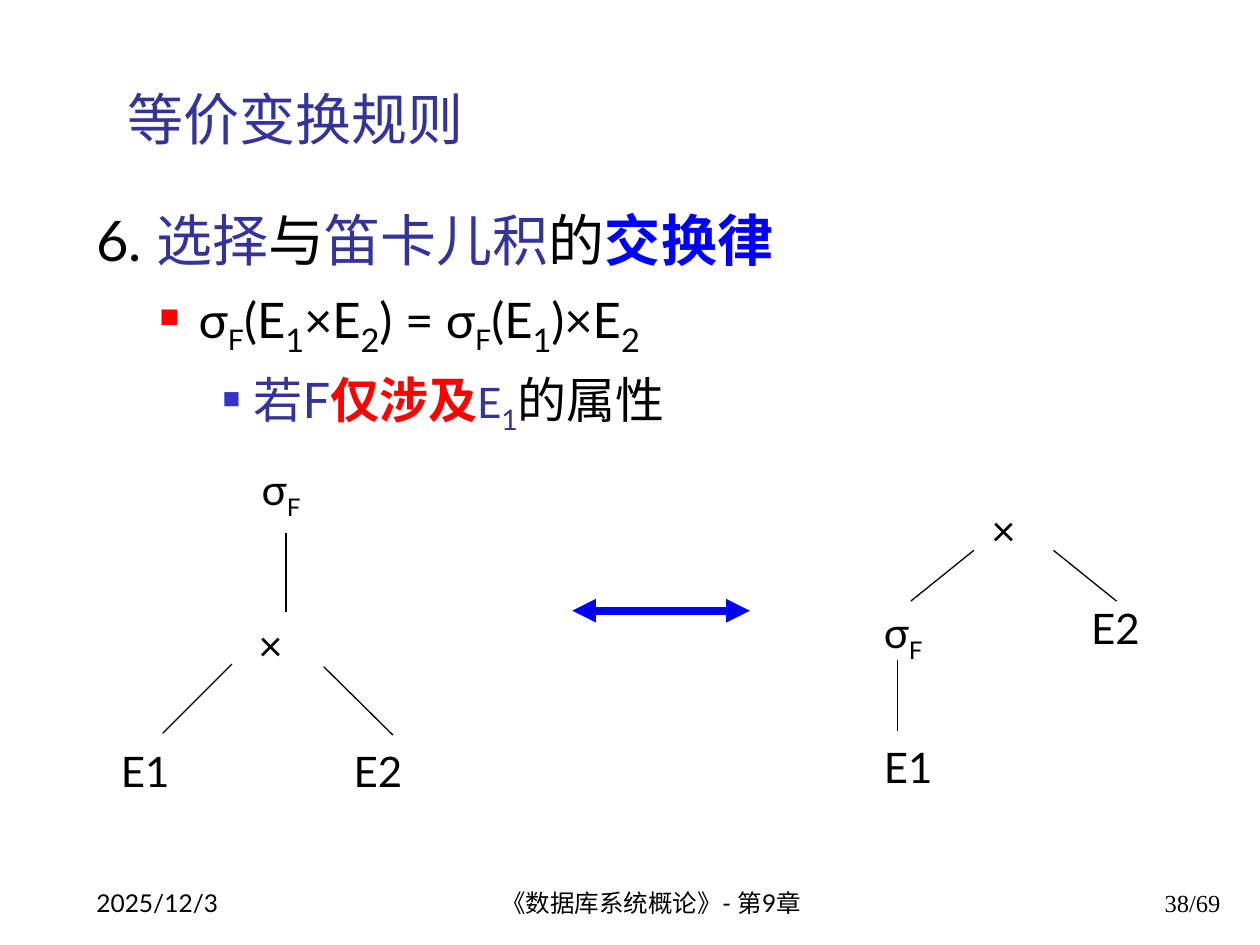
from dataclasses import dataclass
from typing import Optional

from lxml.etree import SubElement
from pptx import Presentation
from pptx.dml.color import RGBColor
from pptx.enum.shapes import MSO_CONNECTOR as Connector
from pptx.enum.text import MSO_ANCHOR as Anchor, PP_ALIGN as Align
from pptx.oxml.ns import qn
from pptx.util import Pt

COLORS = {
    "black": "000000",
    "navy": "333399",
    "blue": "0000FF",
    "red": "FF0000",
    "bullet_blue": "3333CC",
}
FONT = "Lato"


@dataclass
class Piece:
    text: str
    color: Optional[str] = None
    size: Optional[float] = None
    bold: bool = False
    subscript: bool = False


@dataclass
class BodyLine:
    pieces: list[Piece]
    size: float
    margin: float
    hanging: float
    level: int = 0
    bullet_color: Optional[str] = None
    bullet_percent: int = 100


@dataclass
class Label:
    pieces: list[Piece]
    left: float
    top: float
    width: float
    height: float = 33
    size: float = 24
    color: str = "black"
    font: str = FONT
    align: Align = Align.LEFT
    anchor: Anchor = Anchor.TOP
    line_spacing: Optional[float] = None


@dataclass
class Line:
    x1: float
    y1: float
    x2: float
    y2: float
    color: str = "black"
    width: float = 0.75
    arrows: bool = False


def rgb(name: str) -> RGBColor:
    return RGBColor.from_string(COLORS[name])


def add_text_frame(slide, left: float, top: float, width: float, height: float):
    shape = slide.shapes.add_textbox(Pt(left), Pt(top), Pt(width), Pt(height))
    shape.text_frame.word_wrap = True
    return shape.text_frame


def set_font(paragraph, size: float, color: str, name: str = FONT) -> None:
    paragraph.font.size = Pt(size)
    paragraph.font.name = name
    paragraph.font.color.rgb = rgb(color)


def add_pieces(paragraph, pieces: list[Piece]) -> None:
    for piece in pieces:
        run = paragraph.add_run()
        run.text = piece.text
        if piece.size:
            run.font.size = Pt(piece.size)
        if piece.bold:
            run.font.bold = True
        if piece.color:
            run.font.color.rgb = rgb(piece.color)
        if piece.subscript:
            run._r.get_or_add_rPr().set("baseline", "-25000")


def add_label(slide, label: Label) -> None:
    frame = add_text_frame(slide, label.left, label.top, label.width, label.height)
    frame.vertical_anchor = label.anchor
    paragraph = frame.paragraphs[0]
    paragraph.alignment = label.align
    if label.line_spacing:
        paragraph.line_spacing = label.line_spacing
    set_font(paragraph, label.size, label.color, label.font)
    add_pieces(paragraph, label.pieces)


def add_bullet(properties, color: str, percent: int) -> None:
    bullet_color = SubElement(properties, qn("a:buClr"))
    SubElement(bullet_color, qn("a:srgbClr"), val=COLORS[color])
    SubElement(properties, qn("a:buSzPct"), val=str(percent * 1000))
    SubElement(properties, qn("a:buChar"), char="■")


def add_body(slide, lines: list[BodyLine]) -> None:
    frame = add_text_frame(slide, 48, 114, 657, 369)
    for index, line in enumerate(lines):
        paragraph = frame.add_paragraph() if index else frame.paragraphs[0]
        paragraph.level = line.level
        if index:
            paragraph.space_before = Pt(line.size * 0.2)
        properties = paragraph._p.get_or_add_pPr()
        properties.set("marL", str(Pt(line.margin)))
        properties.set("indent", str(-Pt(line.hanging)))
        if line.bullet_color:
            add_bullet(properties, line.bullet_color, line.bullet_percent)
        set_font(paragraph, line.size, "black")
        add_pieces(paragraph, line.pieces)


def add_line(slide, line: Line) -> None:
    connector = slide.shapes.add_connector(
        Connector.STRAIGHT, Pt(line.x1), Pt(line.y1), Pt(line.x2), Pt(line.y2)
    )
    connector.line.color.rgb = rgb(line.color)
    connector.line.width = Pt(line.width)
    if line.arrows:
        outline = connector.line._get_or_add_ln()
        for end in ("a:headEnd", "a:tailEnd"):
            SubElement(outline, qn(end), type="triangle")
    SubElement(connector._element.spPr, qn("a:effectLst"))


def sub(text: str, size: Optional[float] = None, color: Optional[str] = None) -> Piece:
    return Piece(text, color, size, subscript=True)


def node(pieces: list[Piece], left: float, top: float) -> Label:
    return Label(pieces, left, top, 45, line_spacing=0.9)


def footer(text: str, left: float, width: float, align: Align, font: str = FONT) -> Label:
    return Label([Piece(text)], left, 492, width, 36, 14, font=font,
                 align=align, anchor=Anchor.BOTTOM)


SIGMA = [Piece("σ"), sub("F")]
TIMES = [Piece("×")]
E1 = [Piece("E1")]
E2 = [Piece("E2")]

BODY = [
    BodyLine([Piece("6. "), Piece("选择", "navy"), Piece("与"), Piece("笛卡儿积", "navy"),
              Piece("的"), Piece("交换律", "blue", bold=True)], 32, 27, 27),
    BodyLine([Piece("σ"), sub("F"), Piece("(E"), sub("1", 32), Piece("×E"), sub("2", 32),
              Piece(") = σ"), sub("F"), Piece("(E"), sub("1", 32), Piece(")×E"), sub("2", 32)],
             28, 58.5, 22.5, 1, "red", 55),
    BodyLine([Piece("若F", "navy"), Piece("仅涉及", "red", bold=True), Piece("E", "navy", 24),
              sub("1", color="navy"), Piece("的属性")], 28, 90, 18, 2, "bullet_blue", 50),
]

LABELS = [
    Label([Piece("等价变换规则")], 66, 30, 638, 60, 32, "navy", anchor=Anchor.BOTTOM),
    node(SIGMA, 142.5, 262),
    node(TIMES, 140.5, 354),
    node(E1, 62, 425.5),
    node(E2, 195, 425.5),
    node(TIMES, 559.5, 288),
    node(SIGMA, 498, 343.5),
    node(E2, 616.5, 344),
    node(E1, 498, 423.5),
    footer("2025/12/3", 48, 150, Align.LEFT),
    footer("《数据库系统概论》- 第9章", 258, 228, Align.CENTER),
    footer("38/69", 554.5, 150, Align.RIGHT, "Times New Roman"),
]

LINES = [
    Line(163.5, 304.5, 163.5, 350),
    Line(132.5, 379.5, 93, 419),
    Line(185, 381, 224.5, 420),
    Line(556.5, 314.5, 520.5, 343.5),
    Line(602, 314.5, 638, 343.5),
    Line(513, 377, 513, 417.5),
    Line(327, 349, 428.5, 349, "blue", 4.5, True),
]


def main() -> None:
    presentation = Presentation()
    presentation.slide_width, presentation.slide_height = Pt(720), Pt(540)
    slide = presentation.slides.add_slide(presentation.slide_layouts[6])
    add_body(slide, BODY)
    for line in LINES:
        add_line(slide, line)
    for label in LABELS:
        add_label(slide, label)
    presentation.save("out.pptx")


if __name__ == "__main__":
    main()
